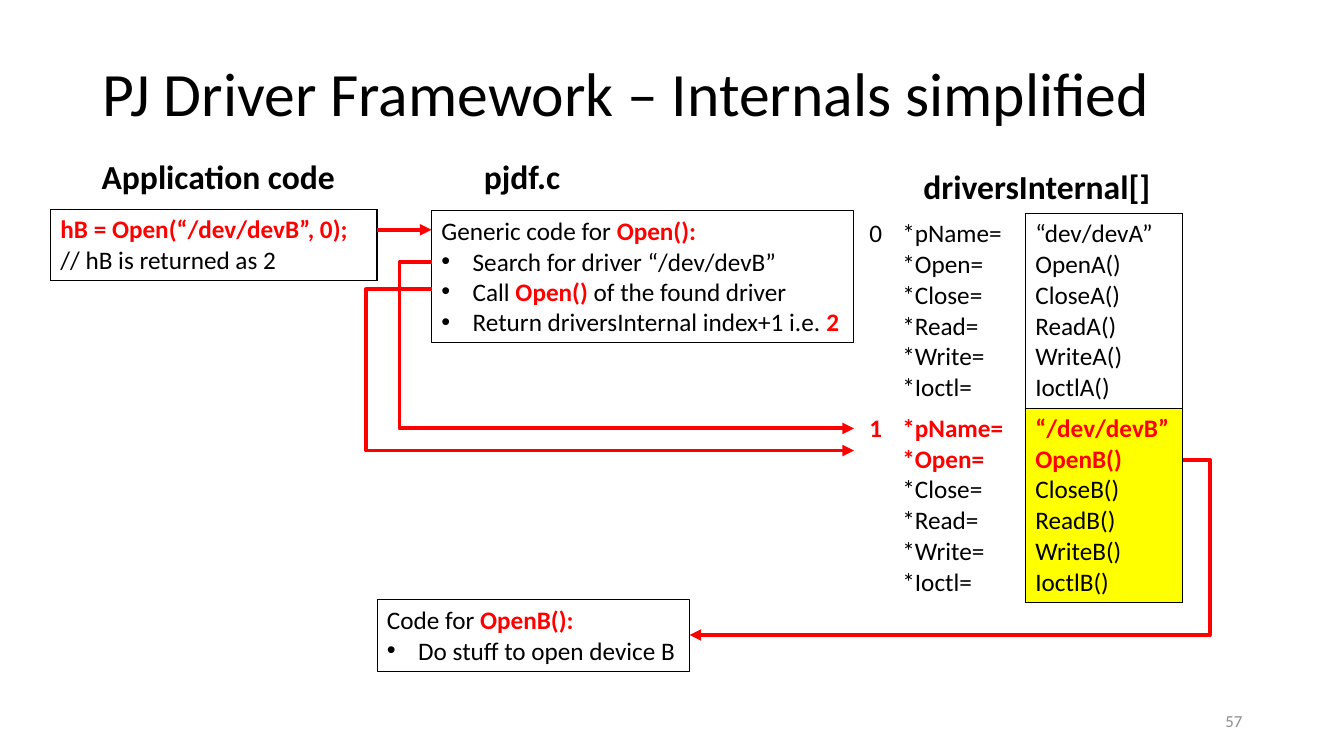
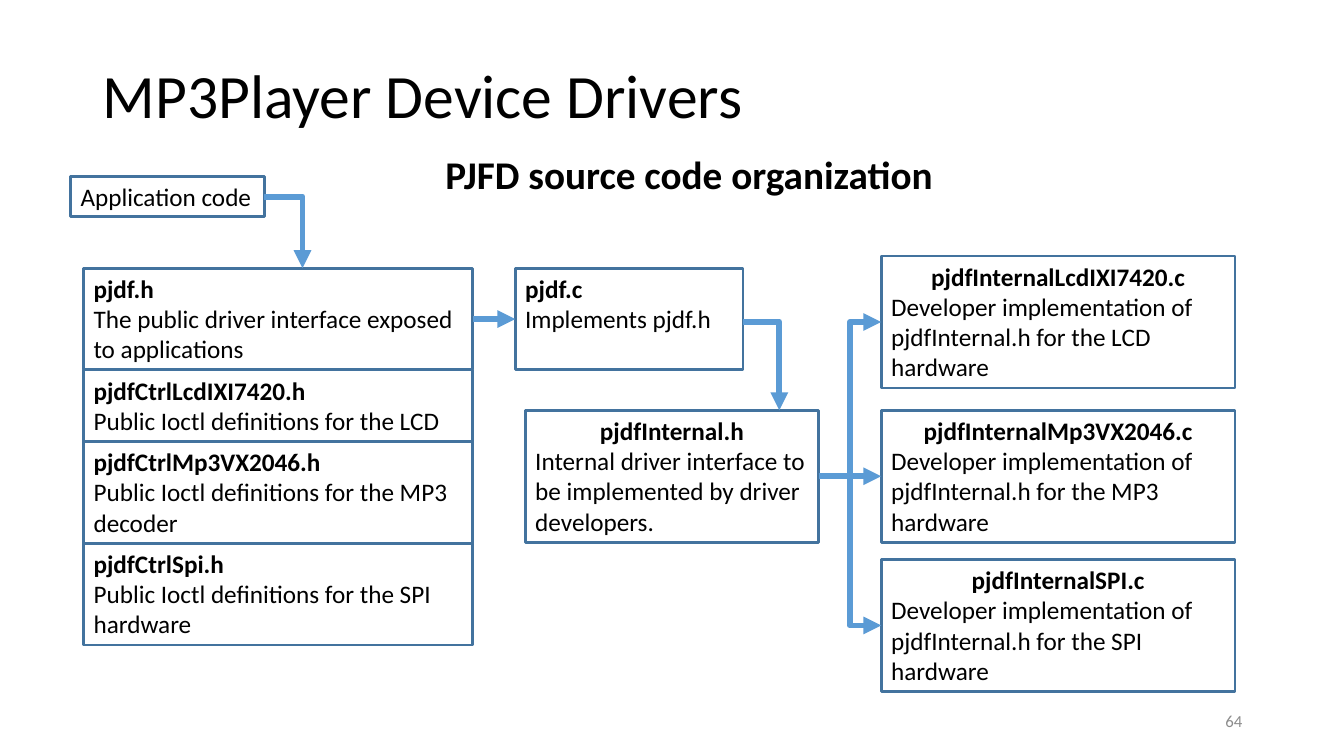
from dataclasses import dataclass
from typing import Optional

from lxml.etree import SubElement
from pptx import Presentation
from pptx.dml.color import RGBColor
from pptx.enum.shapes import MSO_CONNECTOR
from pptx.enum.text import MSO_ANCHOR, MSO_AUTO_SIZE, PP_ALIGN
from pptx.oxml.ns import qn
from pptx.util import Emu, Pt

SCALE = 9144  # EMU per px, 100 px to the inch
FONT = "Calibri"
COLORS = {
    "text": "000000",
    "accent": "FF0000",
    "page": "8C8C8C",
    "active": "FFFF00",
    "frame": "43739E",
    "flow": "5B9BD5",
}


@dataclass(frozen=True)
class Run:
    text: str
    bold: bool = False
    color: str = "text"


@dataclass(frozen=True)
class Para:
    runs: tuple[Run, ...]
    align: Optional[PP_ALIGN] = None
    bullet: bool = False


@dataclass(frozen=True)
class Box:
    x: int
    y: int
    w: int
    h: int
    paras: tuple[Para, ...]
    size: int = 18
    line: Optional[str] = None
    weight: float = 0.75
    wrap: bool = True
    middle: bool = False
    spacing: Optional[float] = None


@dataclass(frozen=True)
class Arrow:
    x1: int
    y1: int
    x2: int
    y2: int
    color: str
    weight: float
    bend: Optional[int] = None  # x of the upright part
    corner: bool = False  # one turn: across, then down


def px(n: int) -> Emu:
    return Emu(n * SCALE)


def rgb(name: str) -> RGBColor:
    return RGBColor.from_string(COLORS[name])


def plain(text: str, align: Optional[PP_ALIGN] = None) -> Para:
    return Para((Run(text),), align)


def bold(text: str, align: Optional[PP_ALIGN] = None) -> Para:
    return Para((Run(text, True),), align)


def red(text: str) -> Run:
    return Run(text, True, "accent")


def bullet(*runs: Run) -> Para:
    return Para(runs, bullet=True)


def write(tf, paras: tuple[Para, ...], size: int, spacing: Optional[float] = None) -> None:
    for i, para in enumerate(paras):
        p = tf.add_paragraph() if i else tf.paragraphs[0]
        p.alignment = para.align
        p.line_spacing = spacing
        if para.bullet:
            pPr = p._p.get_or_add_pPr()
            pPr.set("marL", str(px(31)))
            pPr.set("indent", str(px(-31)))
            SubElement(pPr, qn("a:buFont"), typeface="Arial")
            SubElement(pPr, qn("a:buChar"), char="•")
        for run in para.runs:
            r = p.add_run()
            r.text = run.text
            r.font.name = FONT
            r.font.size = Pt(size)
            r.font.bold = run.bold
            r.font.color.rgb = rgb(run.color)


def add_box(s, box: Box):
    sp = s.shapes.add_textbox(px(box.x), px(box.y), px(box.w), px(box.h))
    if box.line:
        sp.line.color.rgb = rgb(box.line)
        sp.line.width = Pt(box.weight)
    tf = sp.text_frame
    tf.word_wrap = box.wrap
    if not box.wrap:
        tf.auto_size = MSO_AUTO_SIZE.SHAPE_TO_FIT_TEXT
    if box.middle:
        tf.vertical_anchor = MSO_ANCHOR.MIDDLE
    write(tf, box.paras, box.size, box.spacing)
    return sp


def add_arrow(s, a: Arrow):
    elbow = a.corner or a.bend is not None
    kind = MSO_CONNECTOR.ELBOW if elbow else MSO_CONNECTOR.STRAIGHT
    cxn = s.shapes.add_connector(kind, px(a.x1), px(a.y1), px(a.x2), px(a.y2))
    cxn.line.color.rgb = rgb(a.color)
    cxn.line.width = Pt(a.weight)
    spPr = cxn._element.spPr
    SubElement(spPr.find(qn("a:ln")), qn("a:tailEnd"), type="triangle")
    SubElement(spPr, qn("a:effectLst"))
    geom = spPr.find(qn("a:prstGeom"))
    if a.corner:
        geom.set("prst", "bentConnector2")
    elif a.bend is not None:
        adj = round((a.bend - a.x1) / (a.x2 - a.x1) * 100000)
        SubElement(geom.find(qn("a:avLst")), qn("a:gd"), name="adj1", fmla=f"val {adj}")
    return cxn


def add_link(s, src: Box, src_sp, dst: Box, dst_sp) -> None:
    """Arrow from the right side of one box to the left side of another."""
    x1, y1 = src.x + src.w, src.y + src.h // 2
    y2 = dst.y + dst.h // 2
    bend = None if y1 == y2 else (x1 + dst.x) // 2
    cxn = add_arrow(s, Arrow(x1, y1, dst.x, y2, "flow", 4.25, bend))
    cxn.begin_connect(src_sp, 3)
    cxn.end_connect(dst_sp, 1)


def add_grid(s, x: int, y: int, cols: list[int], row_h: int, rows: list) -> object:
    gf = s.shapes.add_table(len(rows), len(cols), px(x), px(y), px(sum(cols)), px(row_h * len(rows)))
    table = gf.table
    table.first_row = table.horz_banding = False
    for col, w in zip(table.columns, cols):
        col.width = px(w)
    for i, row in enumerate(rows):
        table.rows[i].height = px(row_h)
        for j, paras in enumerate(row):
            write(table.cell(i, j).text_frame, paras, 18)
    return table


def style_cell(cell, sides: str, fill: Optional[str] = None) -> None:
    tcPr = cell._tc.get_or_add_tcPr()
    for side in sides:
        ln = SubElement(tcPr, qn(f"a:ln{side}"), w=str(Pt(1)))
        SubElement(SubElement(ln, qn("a:solidFill")), qn("a:srgbClr"), val=COLORS["text"])
    if fill:
        cell.fill.solid()
        cell.fill.fore_color.rgb = rgb(fill)
    else:
        cell.fill.background()


def new_slide(prs, title: str, title_h: int, number: int):
    s = prs.slides.add_slide(prs.slide_layouts[6])
    add_box(s, Box(92, 40, 1150, title_h, (plain(title),), 44, middle=True, spacing=0.9))
    page = Para((Run(str(number), color="page"),), PP_ALIGN.RIGHT)
    add_box(s, Box(942, 695, 300, 40, (page,), 12, middle=True))
    return s


def build_internals(prs) -> None:
    s = new_slide(prs, "PJ Driver Framework – Internals simplified", 111, 57)

    # Column headings
    for x, y, w, text in (
        (906, 160, 248, "driversInternal[]"),
        (91, 150, 254, "Application code"),
        (470, 150, 97, "pjdf.c"),
    ):
        add_box(s, Box(x, y, w, 50, (bold(text),), 24, wrap=False))

    # Application call
    call = (Para((red("hB = Open(“/dev/devB”, 0);"),)), plain("// hB is returned as 2"))
    app = add_grid(s, 50, 208, [324], 70, [[call]])
    style_cell(app.cell(0, 0), "LRTB")

    # Driver table: the first two fields of the chosen driver are marked
    fields = ("pName", "Open", "Close", "Read", "Write", "Ioctl")
    rows = []
    for i, (letter, dev) in enumerate((("A", "“dev/devA”"), ("B", "“/dev/devB”"))):
        def entry(k: int, text: str) -> Para:
            return Para((red(text) if i == 1 and k < 2 else Run(text),))

        index = Para((red(str(i)) if i else Run(str(i)),), PP_ALIGN.RIGHT)
        names = tuple(entry(k, f"*{f}=") for k, f in enumerate(fields))
        values = tuple(entry(k, f"{f}{letter}()" if k else dev) for k, f in enumerate(fields))
        rows.append([(index,), names, values])
    drivers = add_grid(s, 818, 212, [67, 132, 156], 193, rows)
    for i, fill in enumerate((None, "active")):
        style_cell(drivers.cell(i, 0), "")
        style_cell(drivers.cell(i, 1), "R")
        style_cell(drivers.cell(i, 2), "LRTB", fill)

    # Code boxes
    add_box(s, Box(428, 209, 419, 131, (
        Para((Run("Generic code for "), red("Open():"))),
        bullet(Run("Search for driver “/dev/devB”")),
        bullet(Run("Call "), red("Open() "), Run("of the found driver")),
        bullet(Run("Return driversInternal index+1 i.e. "), red("2")),
    ), line="text", wrap=False))
    add_box(s, Box(374, 595, 310, 71, (
        Para((Run("Code for "), red("OpenB():"))),
        bullet(Run("Do stuff to open device B")),
    ), line="text", wrap=False))

    # Call flow
    for x1, y1, x2, y2, bend in (
        (374, 228, 428, 228, None),
        (1173, 456, 684, 630, 1200),
        (428, 260, 847, 425, 396),
        (428, 287, 847, 447, 363),
    ):
        add_arrow(s, Arrow(x1, y1, x2, y2, "accent", 2.75, bend))


def build_drivers(prs) -> None:
    s = new_slide(prs, "MP3Player Device Drivers", 116, 64)
    add_box(s, Box(432, 144, 646, 57, (bold("PJFD source code organization"),), 28))

    def framed(x: int, y: int, w: int, h: int, *paras: Para, wrap: bool = True):
        box = Box(x, y, w, h, paras, line="frame", weight=2, wrap=wrap)
        return box, add_box(s, box)

    framed(70, 175, 192, 40, plain("Application code"))

    # Public headers, stacked
    y = 266
    headers = []
    for name, text, h in (
        ("pjdf.h", "The public driver interface exposed to applications", 101),
        ("pjdfCtrlLcdIXI7420.h", "Public Ioctl definitions for the LCD", 71),
        ("pjdfCtrlMp3VX2046.h", "Public Ioctl definitions for the MP3 decoder", 101),
        ("pjdfCtrlSpi.h", "Public Ioctl definitions for the SPI hardware", 101),
    ):
        headers.append(framed(83, y, 386, h, bold(name), plain(text)))
        y += h

    # Framework core
    core = framed(511, 266, 226, 101, bold("pjdf.c"), plain("Implements pjdf.h"))
    internal = framed(
        521, 407, 291, 131, bold("pjdfInternal.h", PP_ALIGN.CENTER),
        plain("Internal driver interface to"), plain("be implemented by driver"),
        plain("developers."), wrap=False)
    add_link(s, *headers[0], *core)

    # Driver implementations
    for y, name, device in (
        (254, "LcdIXI7420", "LCD"), (407, "Mp3VX2046", "MP3"), (555, "SPI", "SPI"),
    ):
        driver = framed(
            874, y, 351, 131, bold(f"pjdfInternal{name}.c", PP_ALIGN.CENTER),
            plain("Developer implementation of"),
            plain(f"pjdfInternal.h for the {device} hardware"))
        add_link(s, *internal, *driver)

    # Arrows with one turn
    for x1, y1, x2, y2 in ((262, 195, 300, 266), (737, 319, 773, 407)):
        add_arrow(s, Arrow(x1, y1, x2, y2, "flow", 4.25, corner=True))


def main() -> None:
    prs = Presentation()
    prs.slide_width, prs.slide_height = px(1333), px(750)
    build_internals(prs)
    build_drivers(prs)
    prs.save("out.pptx")


if __name__ == "__main__":
    main()
